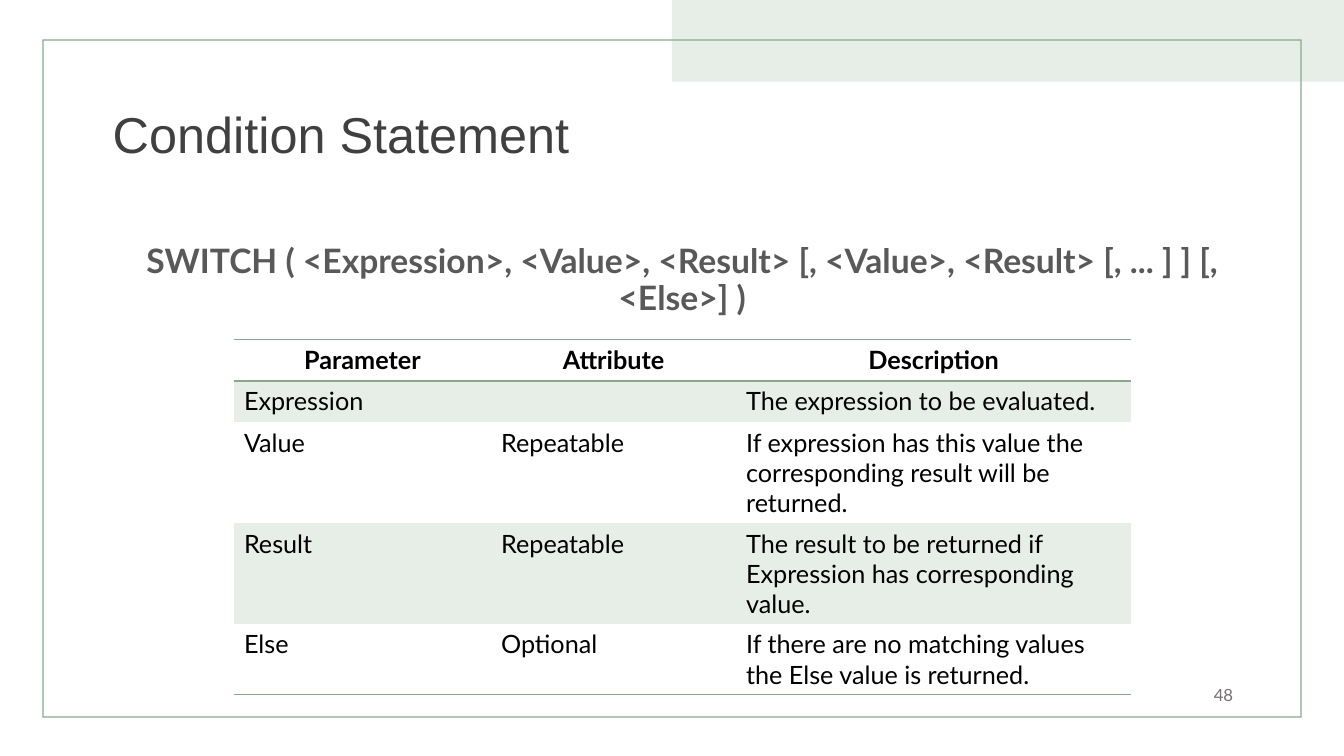
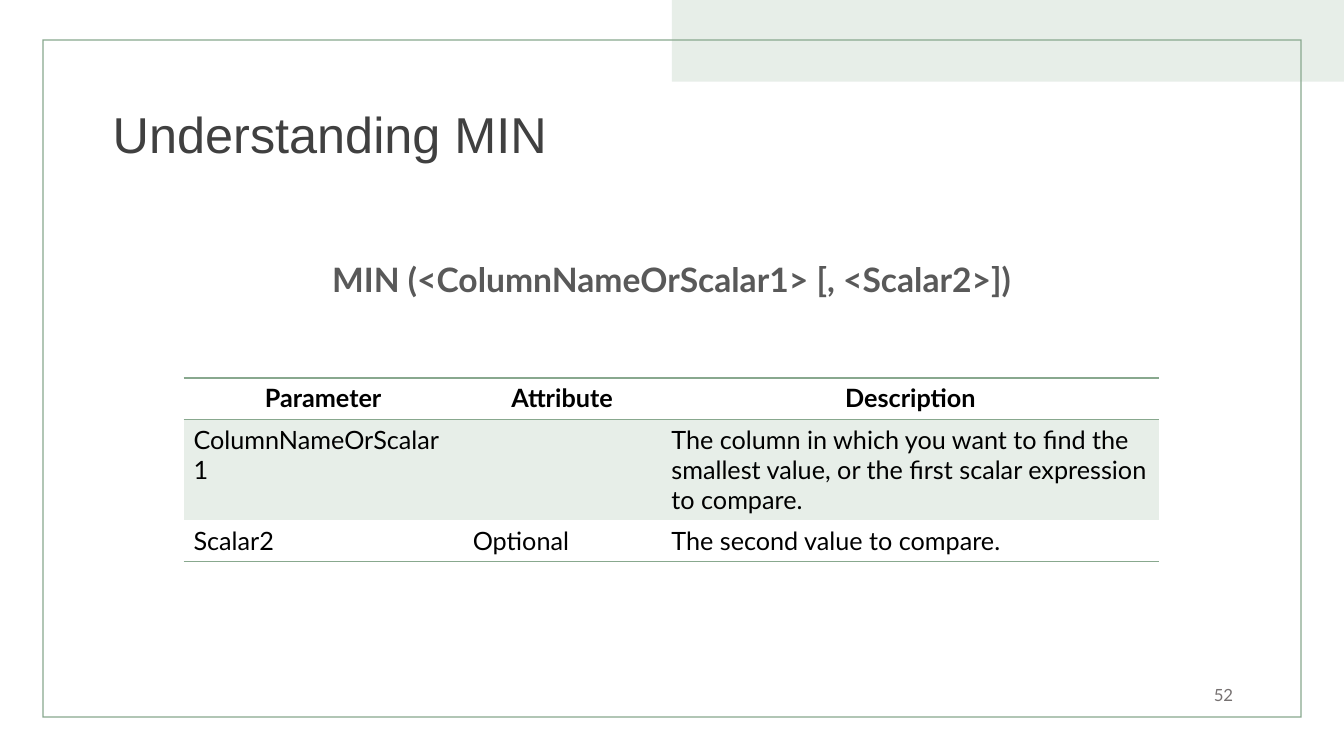
from dataclasses import dataclass

from lxml import etree
from pptx import Presentation
from pptx.dml.color import RGBColor
from pptx.enum.shapes import MSO_SHAPE
from pptx.enum.text import MSO_ANCHOR, PP_ALIGN
from pptx.oxml.ns import qn
from pptx.util import Inches, Pt

RECTANGLE, FRAME = MSO_SHAPE.RECTANGLE, MSO_SHAPE.FRAME
TOP, MIDDLE = MSO_ANCHOR.TOP, MSO_ANCHOR.MIDDLE
LEFT, CENTER, RIGHT = PP_ALIGN.LEFT, PP_ALIGN.CENTER, PP_ALIGN.RIGHT

PAGE_WIDTH, PAGE_HEIGHT = 13.33, 7.5
ROW_HEIGHT = 0.41
PLAIN_TABLE_STYLE = "{2D5ABB26-0587-4C30-8999-92F81FD0307C}"
HEADER = ("Parameter", "Attribute", "Description")


@dataclass(frozen=True)
class TextStyle:
    name: str
    size: int
    color: str
    bold: bool = False


@dataclass(frozen=True)
class Theme:
    accent: str = "88A88E"
    tint: str = "E7EEE8"
    rule_width: int = 1
    title: TextStyle = TextStyle("Arial", 36, "404040")
    syntax: TextStyle = TextStyle("Lato", 24, "595959", True)
    number: TextStyle = TextStyle("Lato", 12, "767171")
    header: TextStyle = TextStyle("Lato", 18, "000000", True)
    cell: TextStyle = TextStyle("Lato", 18, "000000")


class DeckBuilder:
    def __init__(self, theme):
        self.theme = theme
        self.deck = Presentation()
        self.deck.slide_width = Inches(PAGE_WIDTH)
        self.deck.slide_height = Inches(PAGE_HEIGHT)
        self.page = None

    def add_page(self, title, number):
        self.page = self.deck.slides.add_slide(self.deck.slide_layouts[6])
        half = PAGE_WIDTH / 2
        self.add_shape(RECTANGLE, (half, 0, half, 0.81), self.theme.tint)
        frame = self.add_shape(FRAME, (0.42, 0.39, 12.49, 6.73), self.theme.accent)
        frame.adjustments[0] = 0.002
        self.add_text(title, (1.02, 0.53, 11.5, 1.67), self.theme.title,
                      anchor=MIDDLE, line_spacing=0.9)
        self.add_text(str(number), (9.33, 6.69, 3, 0.4), self.theme.number,
                      anchor=MIDDLE, alignment=RIGHT)

    def add_shape(self, kind, place, color):
        shape = self.page.shapes.add_shape(kind, *map(Inches, place))
        shape.shadow.inherit = False
        shape.fill.solid()
        shape.fill.fore_color.rgb = RGBColor.from_string(color)
        shape.line.fill.background()
        return shape

    def add_text(self, text, place, style, anchor=TOP, **para_format):
        box = self.page.shapes.add_textbox(*map(Inches, place))
        box.text_frame.word_wrap = True
        box.text_frame.vertical_anchor = anchor
        self.fill_text(box.text_frame, text, style, **para_format)

    def add_syntax(self, text, place):
        self.add_text(text, place, self.theme.syntax,
                      alignment=CENTER, line_spacing=0.9)

    def fill_text(self, text_frame, text, style, **para_format):
        para = text_frame.paragraphs[0]
        for key, value in para_format.items():
            setattr(para, key, value)
        span = para.add_run()
        span.text = text
        font_format = {"name": style.name, "size": Pt(style.size), "bold": style.bold}
        for key, value in font_format.items():
            setattr(span.font, key, value)
        span.font.color.rgb = RGBColor.from_string(style.color)

    def add_parameters(self, left, top, widths, body):
        rows = [HEADER, *body]
        place = (left, top, sum(widths), ROW_HEIGHT * len(rows))
        table = self.page.shapes.add_table(
            len(rows), len(widths), *map(Inches, place)).table
        table.first_row = table.horz_banding = False
        table._tbl.tblPr.find(qn("a:tableStyleId")).text = PLAIN_TABLE_STYLE
        for column, width in zip(table.columns, widths):
            column.width = Inches(width)
        for index, texts in enumerate(rows):
            table.rows[index].height = Inches(ROW_HEIGHT)
            is_header = index == 0
            sides = "TB" if is_header else "B" if index == len(rows) - 1 else ""
            for column, text in enumerate(texts):
                cell = table.cell(index, column)
                self.add_borders(cell, sides)
                if index % 2:
                    cell.fill.solid()
                    cell.fill.fore_color.rgb = RGBColor.from_string(self.theme.tint)
                else:
                    cell.fill.background()
                if text:
                    self.fill_text(cell.text_frame, text,
                                   self.theme.header if is_header else self.theme.cell,
                                   alignment=CENTER if is_header else LEFT)

    def add_borders(self, cell, sides):
        properties = cell._tc.get_or_add_tcPr()
        for side in sides:
            line = etree.SubElement(properties, qn(f"a:ln{side}"),
                                    w=str(Pt(self.theme.rule_width)))
            fill = etree.SubElement(line, qn("a:solidFill"))
            etree.SubElement(fill, qn("a:srgbClr"), val=self.theme.accent)


def main():
    builder = DeckBuilder(Theme())

    builder.add_page("Condition Statement", 48)
    builder.add_syntax(
        "SWITCH ( <Expression>, <Value>, <Result> [, <Value>, <Result> [, ... ] ] [, <Else>] )",
        (1.24, 2.38, 11.05, 0.48))
    builder.add_parameters(2.32, 3.37, (2.55, 2.43, 3.92), [
        ("Expression", "", "The expression to be evaluated."),
        ("Value", "Repeatable",
         "If expression has this value the corresponding result will be returned."),
        ("Result", "Repeatable",
         "The result to be returned if Expression has corresponding value."),
        ("Else", "Optional",
         "If there are no matching values the Else value is returned."),
    ])

    builder.add_page("Understanding MIN", 52)
    builder.add_syntax("MIN (<ColumnNameOrScalar1> [, <Scalar2>])",
                       (2.74, 2.56, 7.84, 0.48))
    builder.add_parameters(1.82, 3.75, (2.77, 1.97, 4.94), [
        ("ColumnNameOrScalar1", "",
         "The column in which you want to find the smallest value, "
         "or the first scalar expression to compare."),
        ("Scalar2", "Optional", "The second value to compare."),
    ])

    builder.deck.save("out.pptx")


if __name__ == "__main__":
    main()
